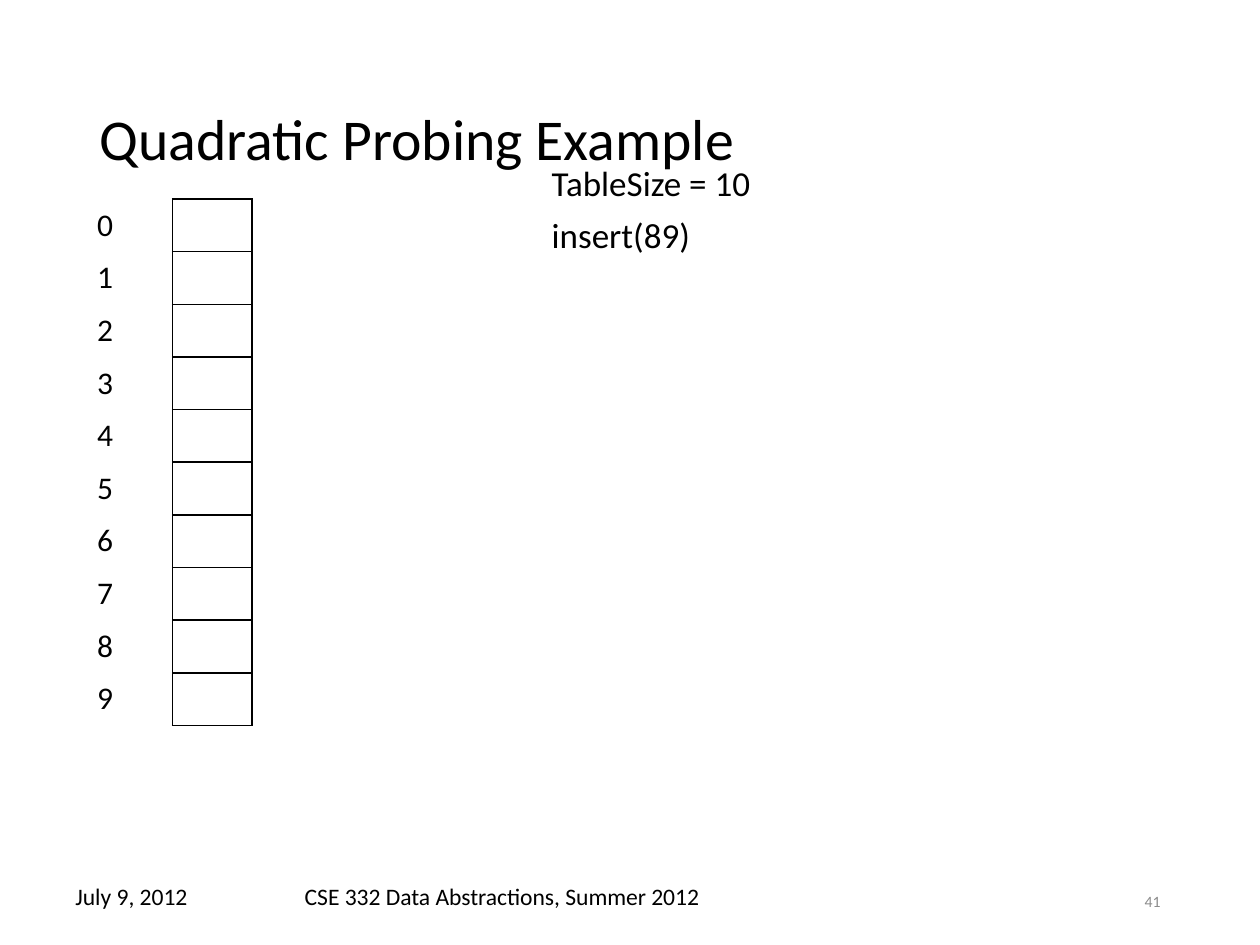
import pptx
import pptx.util
import pptx.dml.color
import pptx.enum.text
import pptx.oxml.ns
from lxml import etree

Inches, Pt = pptx.util.Inches, pptx.util.Pt
Align, Anchor = pptx.enum.text.PP_ALIGN, pptx.enum.text.MSO_ANCHOR

HUES = {"ink": "000000", "gray": "8C8C8C"}
FONT = "Calibri"
TITLE = "Quadratic Probing Example"
STEPS = ["TableSize = 10", "insert(89)"]
FOOTER = [
    ("July 9, 2012", (0.5, 6.95, 1.75, 0.4), 13.5, "ink", Align.LEFT, Anchor.TOP),
    ("CSE 332 Data Abstractions, Summer 2012", (2.32, 6.95, 5.35, 0.4),
     13.5, "ink", Align.LEFT, Anchor.TOP),
    ("41", (7.06, 6.95, 2.25, 0.4), 9, "gray", Align.RIGHT, Anchor.MIDDLE),
]
SLOTS = 10
COLS = [0.7, 0.63]
ROW = 0.418


def write(frame, lines, size, hue="ink", align=Align.LEFT, anchor=Anchor.TOP, gap=0):
    frame.word_wrap = True
    frame.vertical_anchor = anchor
    for i, line in enumerate(lines):
        para = frame.paragraphs[0] if i == 0 else frame.add_paragraph()
        para.alignment = align
        if i:
            para.space_before = Pt(gap)
        run = para.add_run()
        run.text = line
        run.font.name = FONT
        run.font.size = Pt(size)
        run.font.color.rgb = pptx.dml.color.RGBColor.from_string(HUES[hue])


def edge(cell, sides):
    props = cell._tc.get_or_add_tcPr()
    qn = pptx.oxml.ns.qn
    for i, side in enumerate(sides):
        line = etree.Element(qn("a:ln" + side), w=str(Pt(1)))
        fill = etree.SubElement(line, qn("a:solidFill"))
        etree.SubElement(fill, qn("a:srgbClr"), val=HUES["ink"])
        props.insert(i, line)


def add_box(slide, place):
    return slide.shapes.add_textbox(*map(Inches, place)).text_frame


def add_slots(slide):
    frame = slide.shapes.add_table(SLOTS, len(COLS), Inches(0.67), Inches(1.58),
                                   Inches(sum(COLS)), Inches(ROW * SLOTS))
    table = frame.table
    table.first_row = table.horz_banding = False
    for col, width in zip(table.columns, COLS):
        col.width = Inches(width)
    for i, row in enumerate(table.rows):
        row.height = Inches(ROW)
        label, slot = row.cells
        for cell, sides in ((label, "R"), (slot, "LRTB")):
            cell.fill.background()
            edge(cell, sides)
        write(label.text_frame, [str(i)], 18)
        label.vertical_anchor = Anchor.MIDDLE


def main():
    deck = pptx.Presentation()
    deck.slide_width, deck.slide_height = Inches(10), Inches(7.5)
    slide = deck.slides.add_slide(deck.slide_layouts[5])
    title = slide.shapes.title
    title.left, title.top, title.width, title.height = map(Inches, (0.69, 0.4, 8.62, 1.45))
    write(title.text_frame, [TITLE], 33, anchor=Anchor.MIDDLE)
    title.text_frame.auto_size = pptx.enum.text.MSO_AUTO_SIZE.NONE
    title.text_frame.paragraphs[0].line_spacing = 0.9
    for text, place, *look in FOOTER:
        write(add_box(slide, place), [text], *look)
    add_slots(slide)
    write(add_box(slide, (4.28, 1.23, 4.82, 0.86)), STEPS, 20, gap=6)
    deck.save("out.pptx")


if __name__ == "__main__":
    main()
